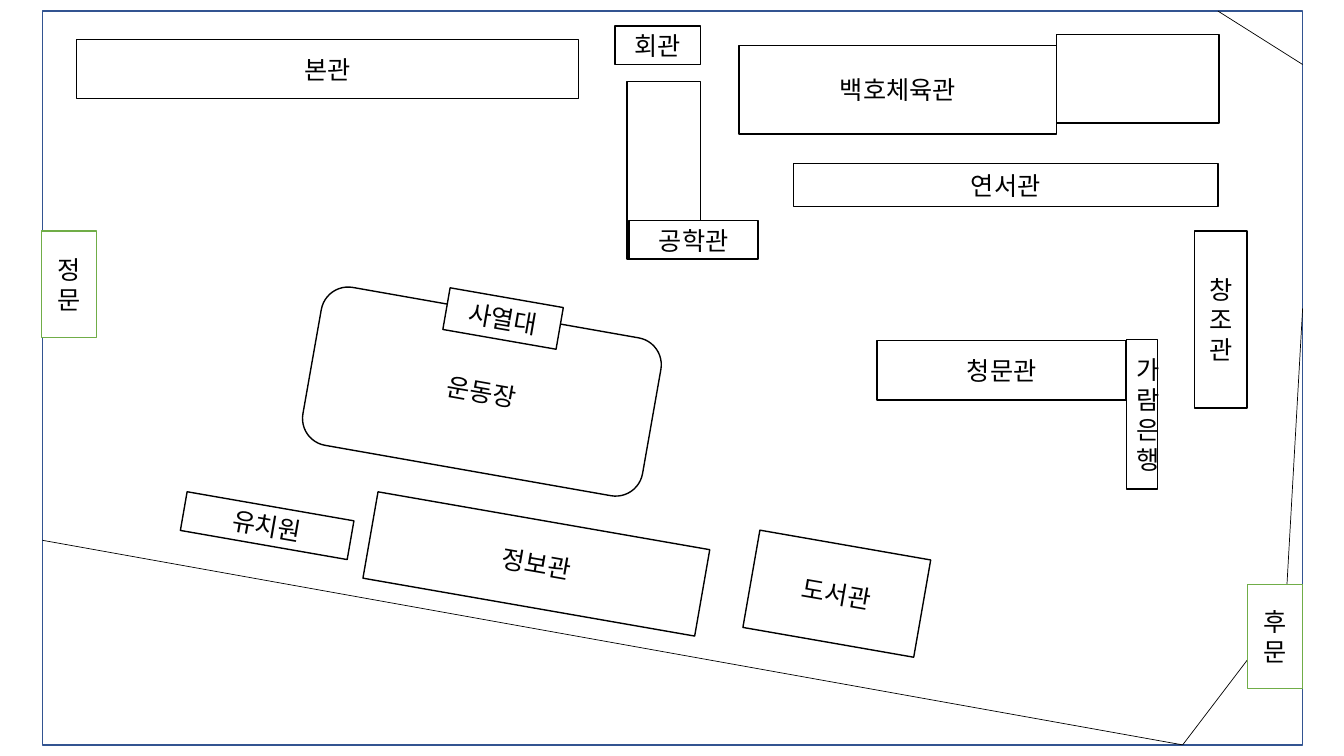
from lxml.etree import SubElement
from pptx import Presentation
from pptx.dml.color import RGBColor
from pptx.enum.shapes import MSO_CONNECTOR, MSO_SHAPE
from pptx.enum.text import MSO_ANCHOR, PP_ALIGN
from pptx.oxml.ns import qn
from pptx.util import Inches, Pt

FONT = "Noto Sans CJK KR"
BLACK, WHITE, BLUE, GREEN = "000000", "FFFFFF", "325491", "70AD47"
TILT = 9.9

# label, (left, top, width, height), format; a line break starts a paragraph
SITE = ("", (0.42, 0.11, 12.5, 7.28), {"outline": BLUE})
BUILDINGS = [
    ("본관", (0.76, 0.39, 4.98, 0.59), {}),
    ("운동장", (3.07, 3.09, 3.42, 1.59), {"rotation": 10, "corner": 0.17}),
    ("회관", (6.1, 0.26, 0.85, 0.38), {}),
    ("", (6.22, 0.81, 0.73, 1.76), {}),
    ("공학관", (6.24, 2.19, 1.28, 0.38), {}),
    ("백호체육관", (7.33, 0.45, 3.15, 0.88), {}),
    ("연서관", (7.87, 1.62, 4.21, 0.43), {}),
    ("창\n조\n관", (11.85, 2.29, 0.52, 1.76), {}),
    ("청문관", (8.7, 3.38, 2.47, 0.59), {}),
    ("가\n람\n은\n행", (11.17, 3.37, 0.31, 1.48), {}),
    ("", (10.48, 0.34, 1.61, 0.88), {}),
    ("유치원", (1.81, 5.02, 1.68, 0.39), {"rotation": TILT}),
    ("도서관", (7.44, 5.4, 1.72, 0.98), {"rotation": TILT}),
    ("정보관", (3.65, 5.16, 3.34, 0.87), {"rotation": TILT}),
    ("사열대", (4.42, 2.95, 1.14, 0.42), {"rotation": TILT}),
]
GATES = [
    ("정문", (0.41, 2.29, 0.55, 1.06), {"outline": GREEN}),
    ("후문", (12.37, 5.8, 0.55, 1.03), {"outline": GREEN}),
]
# Each boundary is a chain of points joined by straight lines
BOUNDARIES = [
    [(0.42, 5.36), (11.73, 7.39), (12.75, 6.05), (12.92, 3.06)],
    [(12.08, 0.11), (12.92, 0.64)],
]


def color(hex_string):
    return RGBColor.from_string(hex_string)


def add_block(slide, text, box, outline=BLACK, rotation=0, corner=None):
    kind = MSO_SHAPE.RECTANGLE if corner is None else MSO_SHAPE.ROUNDED_RECTANGLE
    shape = slide.shapes.add_shape(kind, *map(Inches, box))
    if corner is not None:
        shape.adjustments[0] = corner
    shape.rotation = rotation
    shape.shadow.inherit = False
    shape.fill.solid()
    shape.fill.fore_color.rgb = color(WHITE)
    shape.line.color.rgb = color(outline)
    shape.line.width = Pt(1)
    if text:
        write(shape.text_frame, text)


def write(frame, text, size=18, font_color=BLACK):
    frame.word_wrap = True
    frame.vertical_anchor = MSO_ANCHOR.MIDDLE
    frame.text = text
    for paragraph in frame.paragraphs:
        paragraph.alignment = PP_ALIGN.CENTER
        for run in paragraph.runs:
            run.font.size = Pt(size)
            run.font.name = FONT
            run.font.color.rgb = color(font_color)
            SubElement(run.font._element, qn("a:ea")).set("typeface", FONT)


def add_boundary(slide, points):
    for start, end in zip(points, points[1:]):
        line = slide.shapes.add_connector(
            MSO_CONNECTOR.STRAIGHT, *map(Inches, start + end))
        line.line.color.rgb = color(BLACK)
        line.line.width = Pt(0.5)
        SubElement(line._element.spPr, qn("a:effectLst"))


def main():
    presentation = Presentation()
    presentation.slide_width = Inches(13.33)
    presentation.slide_height = Inches(7.5)
    slide = presentation.slides.add_slide(presentation.slide_layouts[6])

    add_block(slide, SITE[0], SITE[1], **SITE[2])
    for points in BOUNDARIES:
        add_boundary(slide, points)
    for text, box, style in BUILDINGS + GATES:
        add_block(slide, text, box, **style)
    presentation.save("out.pptx")


if __name__ == "__main__":
    main()
